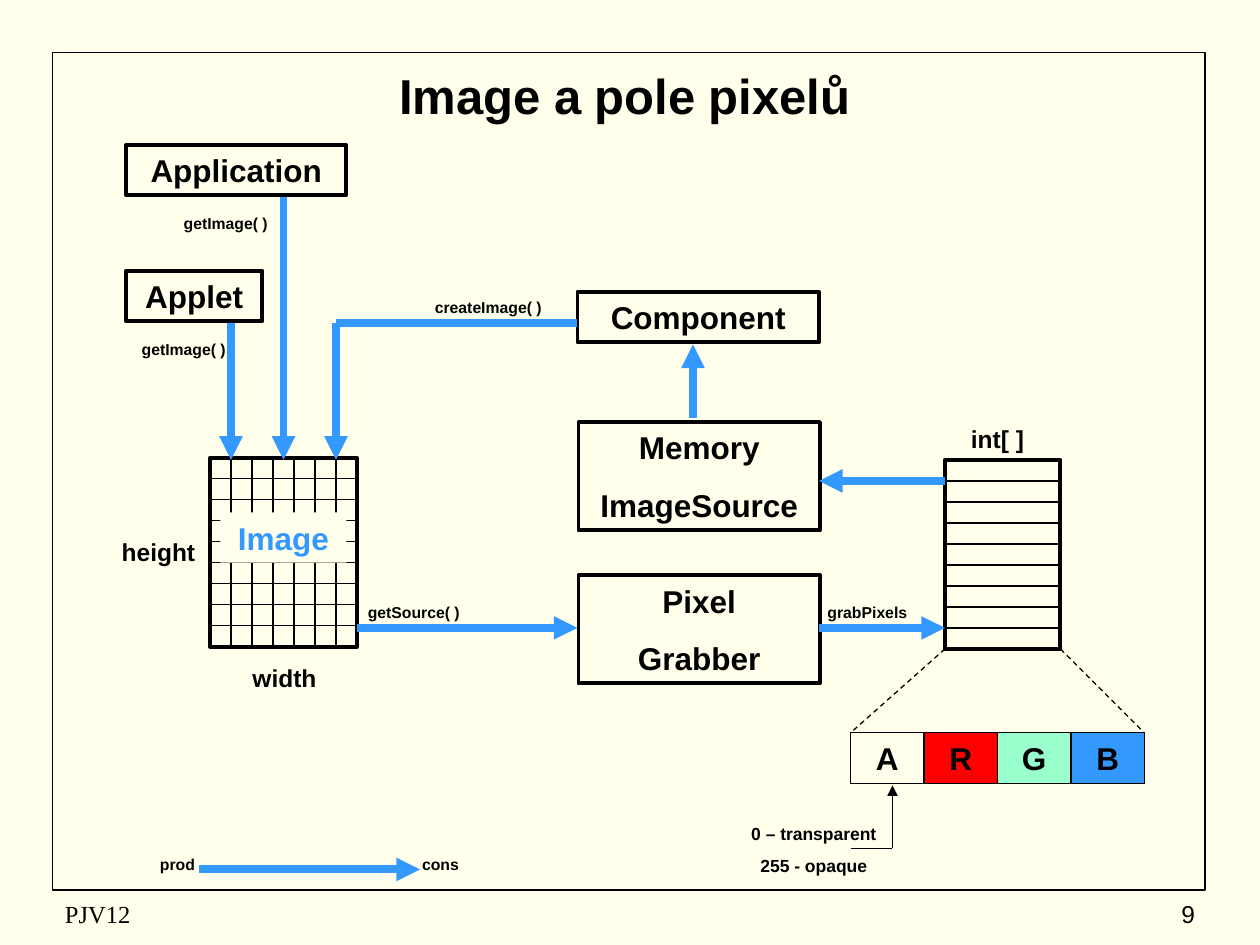
from dataclasses import dataclass
from typing import Optional

from lxml.etree import SubElement
from pptx import Presentation
from pptx.dml.color import RGBColor
from pptx.enum.dml import MSO_LINE
from pptx.enum.shapes import MSO_CONNECTOR, MSO_SHAPE
from pptx.enum.text import MSO_ANCHOR, PP_ALIGN
from pptx.oxml.ns import qn
from pptx.util import Emu, Pt

PX = 7620  # EMU per px, 120 px to the inch
BLACK = RGBColor(0x00, 0x00, 0x00)
CREAM = RGBColor(0xFF, 0xFF, 0xEB)
RED = RGBColor(0xFF, 0x00, 0x00)
MINT = RGBColor(0x99, 0xFF, 0xCC)
BLUE = RGBColor(0x33, 0x99, 0xFF)
CELL = 20


@dataclass
class Box:
    left: int
    top: int
    width: int
    height: int
    text: str = ""
    fill: Optional[RGBColor] = None
    border: float = 2.25
    color: RGBColor = BLACK


@dataclass
class Label:
    left: int
    top: int
    width: int
    height: int
    text: str
    size: int = 9


@dataclass
class Line:
    x1: int
    y1: int
    x2: int
    y2: int
    color: RGBColor = BLUE
    weight: float = 4.5
    arrow: bool = True
    dashed: bool = False


FRAME = Box(50, 50, 1098, 798, border=1)
PIXEL_ARRAY = Box(900, 438, 110, 180, fill=CREAM)
IMAGE = Box(200, 436, 140, 180, fill=CREAM)
IMAGE_NAME = Box(210, 488, 120, 48, "Image", fill=CREAM, border=0, color=BLUE)
CLASSES = [
    Box(120, 138, 210, 48, "Application"),
    Box(120, 258, 130, 48, "Applet"),
    Box(550, 278, 230, 48, "Component"),
    Box(551, 402, 230, 103, "Memory\nImageSource"),
    Box(551, 548, 230, 103, "Pixel\nGrabber"),
]
CHANNELS = [("A", None), ("R", RED), ("G", MINT), ("B", BLUE)]
FLOWS = [
    Line(900, 458, 780, 458),
    Line(660, 398, 660, 328),
    Line(550, 308, 320, 308, arrow=False),
    Line(320, 308, 320, 438),
    Line(270, 188, 270, 438),
    Line(220, 308, 220, 438),
    Line(340, 598, 550, 598),
    Line(780, 598, 900, 598),
    Line(190, 828, 400, 828),
]
DETAILS = [
    Line(900, 618, 810, 698, BLACK, 0.75, arrow=False, dashed=True),
    Line(1010, 618, 1090, 698, BLACK, 0.75, arrow=False, dashed=True),
    Line(810, 808, 850, 808, BLACK, 0.75, arrow=False),
    Line(850, 808, 850, 748, BLACK, 0.75),
]
LABELS = [
    Label(880, 398, 140, 40, "int[ ]", 14),
    Label(91, 506, 120, 40, "height", 14),
    Label(211, 626, 120, 40, "width", 14),
    Label(690, 778, 170, 62, "0 – transparent\n255 - opaque", 10),
    Label(150, 198, 130, 30, "getImage( )"),
    Label(110, 318, 130, 30, "getImage( )"),
    Label(400, 278, 130, 30, "createImage( )"),
    Label(313, 568, 162, 30, "getSource( )"),
    Label(751, 568, 150, 30, "grabPixels"),
    Label(140, 808, 58, 30, "prod"),
    Label(365, 808, 109, 30, "cons"),
]


def px(*lengths: int) -> list[Emu]:
    return [Emu(length * PX) for length in lengths]


def write(shape, text: str, *, size: int, color: RGBColor = BLACK, bold: bool = True,
          font: str = "Arial", align=PP_ALIGN.CENTER, anchor=MSO_ANCHOR.TOP,
          wrap: bool = True) -> None:
    frame = shape.text_frame
    frame.word_wrap = wrap
    frame.vertical_anchor = anchor
    frame.text = text
    for index, para in enumerate(frame.paragraphs):
        para.alignment = align
        if index:
            para.space_before = Pt(round(size * 0.625, 1))
        for span in para.runs:
            span.font.name = font
            span.font.size = Pt(size)
            span.font.bold = bold
            span.font.color.rgb = color


def draw_box(page, box: Box) -> None:
    shape = page.shapes.add_shape(
        MSO_SHAPE.RECTANGLE, *px(box.left, box.top, box.width, box.height))
    shape.shadow.inherit = False
    if box.fill is None:
        shape.fill.background()
    else:
        shape.fill.solid()
        shape.fill.fore_color.rgb = box.fill
    if box.border:
        shape.line.color.rgb = BLACK
        shape.line.width = Pt(box.border)
    else:
        shape.line.fill.background()
    if box.text:
        write(shape, box.text, size=18, color=box.color)


def draw_line(page, line: Line) -> None:
    connector = page.shapes.add_connector(
        MSO_CONNECTOR.STRAIGHT, *px(line.x1, line.y1, line.x2, line.y2))
    connector.line.color.rgb = line.color
    connector.line.width = Pt(line.weight)
    if line.dashed:
        connector.line.dash_style = MSO_LINE.DASH
    if line.arrow:
        SubElement(connector.line._get_or_add_ln(), qn("a:tailEnd"), type="triangle")
    SubElement(connector._element.spPr, qn("a:effectLst"))


def draw_grid(page, box: Box, columns: bool) -> None:
    """Draw a box ruled into cells, with or without column lines."""
    draw_box(page, box)
    right, bottom = box.left + box.width, box.top + box.height
    if columns:
        for x in range(box.left + CELL, right, CELL):
            draw_line(page, Line(x, box.top, x, bottom, BLACK, 1, arrow=False))
    for y in range(box.top + CELL, bottom, CELL):
        draw_line(page, Line(box.left, y, right, y, BLACK, 0.75, arrow=False))


def add_text(page, label: Label, **style) -> None:
    box = page.shapes.add_textbox(*px(label.left, label.top, label.width, label.height))
    write(box, label.text, size=label.size, **style)


def main() -> None:
    deck = Presentation()
    deck.slide_width, deck.slide_height = px(1200, 900)
    page = deck.slides.add_slide(deck.slide_layouts[5])
    page.background.fill.solid()
    page.background.fill.fore_color.rgb = CREAM

    title = page.shapes.title
    title.left, title.top, title.width, title.height = px(60, 50, 1070, 80)
    write(title, "Image a pole pixelů", size=28, anchor=MSO_ANCHOR.MIDDLE)

    draw_box(page, FRAME)
    add_text(page, Label(50, 850, 380, 40, "PJV12", 14), bold=False,
             font="Times New Roman", align=PP_ALIGN.LEFT, anchor=MSO_ANCHOR.MIDDLE)
    add_text(page, Label(900, 850, 250, 40, "9", 14), bold=False,
             align=PP_ALIGN.RIGHT, anchor=MSO_ANCHOR.MIDDLE)

    draw_grid(page, PIXEL_ARRAY, columns=False)
    draw_grid(page, IMAGE, columns=True)
    draw_box(page, IMAGE_NAME)
    for index, (name, fill) in enumerate(CHANNELS):
        draw_box(page, Box(810 + 70 * index, 698, 70, 48, name, fill, border=0.75))
    for box in CLASSES:
        draw_box(page, box)
    for line in FLOWS + DETAILS:
        draw_line(page, line)
    for label in LABELS:
        add_text(page, label, wrap=False)
    deck.save("out.pptx")


if __name__ == "__main__":
    main()
